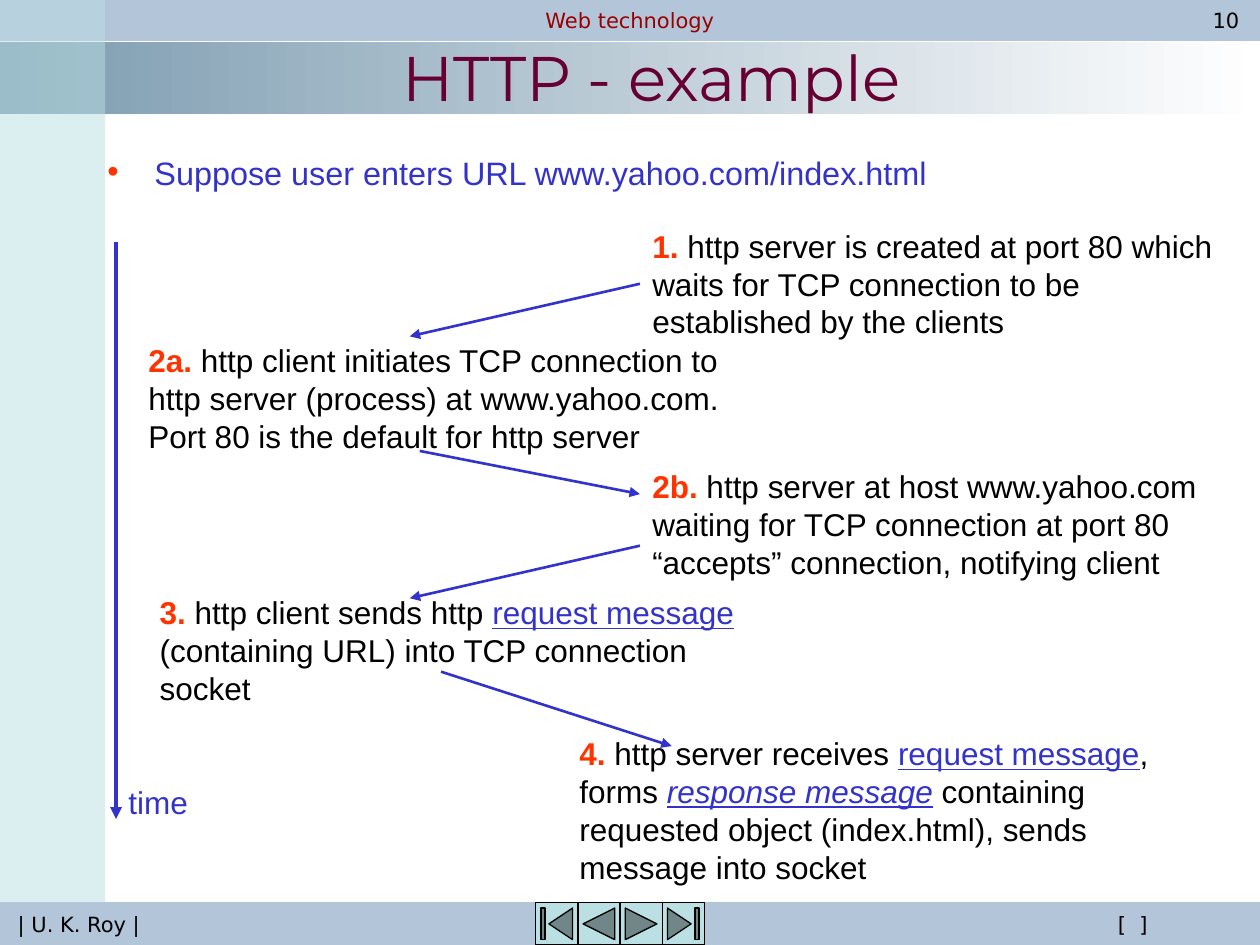
from collections import namedtuple

from lxml import etree
from pptx import Presentation
from pptx.dml.color import RGBColor
from pptx.enum import shapes, text
from pptx.oxml import ns
from pptx.util import Cm, Pt

Box = namedtuple("Box", "left top width height")

BAR = RGBColor(0xB3, 0xC5, 0xD9)
BAND = RGBColor(0x7C, 0x9B, 0xB0)
AQUA = RGBColor(0xBB, 0xE0, 0xE3)
WHITE = RGBColor(0xFF, 0xFF, 0xFF)
BLACK = RGBColor(0, 0, 0)
CRIMSON = RGBColor(0x99, 0, 0)
PLUM = RGBColor(0x66, 0, 0x33)
BLUE = RGBColor(0x33, 0x33, 0xCC)
ORANGE = RGBColor(0xFF, 0x33, 0)

NUMBER = {"color": ORANGE, "bold": True}
TERM = {"color": BLUE, "underline": True}
TERM_ITALIC = {"color": BLUE, "underline": True, "italic": True}

# left, top, width, height and wording, relative to the exchange area
STEPS = [
    (10.56, 0, 12.07, 2.54,
     [("1.", NUMBER),
      (" http server is created at port 80 which waits for TCP connection "
       "to be established by the clients", {})]),
    (0.4, 2.31, 12.5, 2.54,
     [("2a.", NUMBER),
      (" http client initiates TCP connection to http server (process) at "
       "www.yahoo.com. Port 80 is the default for http server", {})]),
    (10.56, 4.85, 12.07, 2.54,
     [("2b.", NUMBER),
      (" http server at host www.yahoo.com waiting for TCP connection at "
       "port 80 “accepts” connection, notifying client", {})]),
    (0.63, 7.39, 12.7, 2.54,
     [("3.", NUMBER), (" http client sends http ", {}),
      ("request message", TERM),
      (" (containing URL) into TCP connection socket", {})]),
    (9.09, 10.23, 12.7, 3.3,
     [("4.", NUMBER), (" http server receives ", {}),
      ("request message", TERM), (", forms ", {}),
      ("response message", TERM_ITALIC),
      (" containing requested object (index.html), sends message into socket", {})]),
    (0, 11.22, 1.91, 1.02, [("time", {"color": BLUE})]),
]

# from x, y to x, y and line width, relative to the exchange area
ARROWS = [
    (0, 0.43, 0, 12.06, 2.25),
    (10.56, 1.27, 5.92, 2.33, 1.5),
    (6.12, 4.64, 10.56, 5.51, 1.5),
    (10.56, 6.55, 5.92, 7.61, 1.5),
    (6.55, 9.09, 11.2, 10.59, 1.5),
]


def child(parent, tag, **attributes):
    return etree.SubElement(parent, ns.qn(tag), attributes)


def style_run(run, font, size, color=BLACK, **flags):
    run.font.name = font
    run.font.size = Pt(size)
    run.font.color.rgb = color
    for flag, value in flags.items():
        setattr(run.font, flag, value)


def shade_text(run):
    """Give the letters of a run a grey shadow."""
    effects = etree.Element(ns.qn("a:effectLst"))
    shadow = child(effects, "a:outerShdw", dist="38100", dir="2700000")
    child(shadow, "a:srgbClr", val="808080")
    run.font.fill._xPr.find(ns.qn("a:solidFill")).addnext(effects)


def place(shape, box):
    shape.left, shape.top, shape.width, shape.height = map(Cm, box)


def add_block(slide, box, color=None, kind=shapes.MSO_SHAPE.RECTANGLE, line=None):
    block = slide.shapes.add_shape(kind, *map(Cm, box))
    block.shadow.inherit = False
    if color is not None:
        block.fill.solid()
        block.fill.fore_color.rgb = color
    if line is None:
        block.line.fill.background()
    else:
        block.line.color.rgb = line
        block.line.width = Pt(0.75)
    return block


def add_label(slide, box, wording, color=BLACK):
    """Centred small print on a bar; returns its run."""
    label = slide.shapes.add_textbox(*map(Cm, box))
    frame = label.text_frame
    frame.margin_top = frame.margin_bottom = 0
    frame.vertical_anchor = text.MSO_ANCHOR.MIDDLE
    frame.text = wording
    frame.paragraphs[0].alignment = text.PP_ALIGN.CENTER
    run = frame.paragraphs[0].runs[0]
    style_run(run, "DejaVu Sans", 12, color)
    return run


def add_header(slide, box):
    left, top, width, height = box
    add_block(slide, box, BAR, line=BAR)
    add_label(slide, Box(left + (width - 7.62) / 2, top, 7.62, height),
              "Web technology", CRIMSON)
    add_label(slide, Box(left + width - 1.32, top, 1.27, height), "10")


def add_footer(slide, box):
    left, top, width, height = box
    add_block(slide, box, BAR, line=BAR)
    add_label(slide, Box(left, top, 3.18, height), "| U. K. Roy |")
    shade_text(add_label(slide, Box(left + 20.32, top, 5.03, height), "[  ]"))
    buttons = [
        shapes.MSO_SHAPE.ACTION_BUTTON_BEGINNING,
        shapes.MSO_SHAPE.ACTION_BUTTON_BACK_OR_PREVIOUS,
        shapes.MSO_SHAPE.ACTION_BUTTON_FORWARD_OR_NEXT,
        shapes.MSO_SHAPE.ACTION_BUTTON_END,
    ]
    side = 0.85
    for place_in_row, button in enumerate(buttons):
        add_block(slide, Box(left + 10.8 + place_in_row * side, top, side, side),
                  AQUA, button, line=BLACK)


def add_title_band(slide, box):
    band = add_block(slide, box)
    band.fill.gradient()
    band.fill.gradient_angle = 0
    for stop, color, position in zip(band.fill.gradient_stops, (BAND, WHITE), (0, 1)):
        stop.color.rgb = color
        stop.position = position


def add_sidebar(slide, box):
    sidebar = add_block(slide, box, AQUA)
    tint = sidebar._element.spPr.find(ns.qn("a:solidFill"))[0]
    child(tint, "a:alpha", val="50000")


def fill_title(slide, box):
    title = slide.shapes.title
    slide.shapes._spTree.append(title._element)  # in front of the band
    place(title, box)
    frame = title.text_frame
    frame.text = "HTTP - example"
    frame.vertical_anchor = text.MSO_ANCHOR.MIDDLE
    frame.paragraphs[0].alignment = text.PP_ALIGN.CENTER
    run = frame.paragraphs[0].runs[0]
    style_run(run, "Montserrat", 36, PLUM)
    shade_text(run)


def fill_body(slide, box):
    body = slide.placeholders[1]
    place(body, box)
    frame = body.text_frame
    frame.text = "Suppose user enters URL www.yahoo.com/index.html"
    frame.auto_size = text.MSO_AUTO_SIZE.NONE
    premise = frame.paragraphs[0]
    properties = premise._p.get_or_add_pPr()
    properties.set("marL", str(Cm(0.95)))
    properties.set("indent", str(-Cm(0.95)))
    child(child(properties, "a:buClr"), "a:srgbClr", val=str(ORANGE))
    child(properties, "a:buChar", char="•")
    premise.line_spacing = 0.7
    premise.space_before = Pt(0)
    style_run(premise.runs[0], "Arial", 18.5, BLUE)


def add_exchange(slide, box):
    """Time axis, steps of client and server, and arrows between them."""
    for left, top, width, height, wording in STEPS:
        step = slide.shapes.add_textbox(
            Cm(box.left + left), Cm(box.top + top), Cm(width), Cm(height))
        step.text_frame.word_wrap = True
        for part, style in wording:
            run = step.text_frame.paragraphs[0].add_run()
            run.text = part
            style_run(run, "Arial", 18, **style)
    for x1, y1, x2, y2, weight in ARROWS:
        arrow = slide.shapes.add_connector(
            shapes.MSO_CONNECTOR.STRAIGHT, Cm(box.left + x1), Cm(box.top + y1),
            Cm(box.left + x2), Cm(box.top + y2))
        arrow.line.color.rgb = BLUE
        arrow.line.width = Pt(weight)
        child(arrow.line._get_or_add_ln(), "a:tailEnd", type="triangle")
        child(arrow._element.spPr, "a:effectLst")


def main():
    deck = Presentation()
    deck.slide_width, deck.slide_height = Cm(25.4), Cm(19.05)
    slide = deck.slides.add_slide(deck.slide_layouts[1])
    add_title_band(slide, Box(0, 0.84, 25.4, 1.47))
    add_header(slide, Box(0, 0, 25.4, 0.81))
    add_footer(slide, Box(0, 18.2, 25.4, 0.84))
    add_sidebar(slide, Box(0, 0, 2.12, 18.2))
    fill_title(slide, Box(2.12, 0.33, 22.02, 2.41))
    fill_body(slide, Box(1.91, 3.18, 22.66, 0.84))
    add_exchange(slide, Box(2.34, 4.45, 22.63, 13.53))
    deck.save("out.pptx")


if __name__ == "__main__":
    main()
